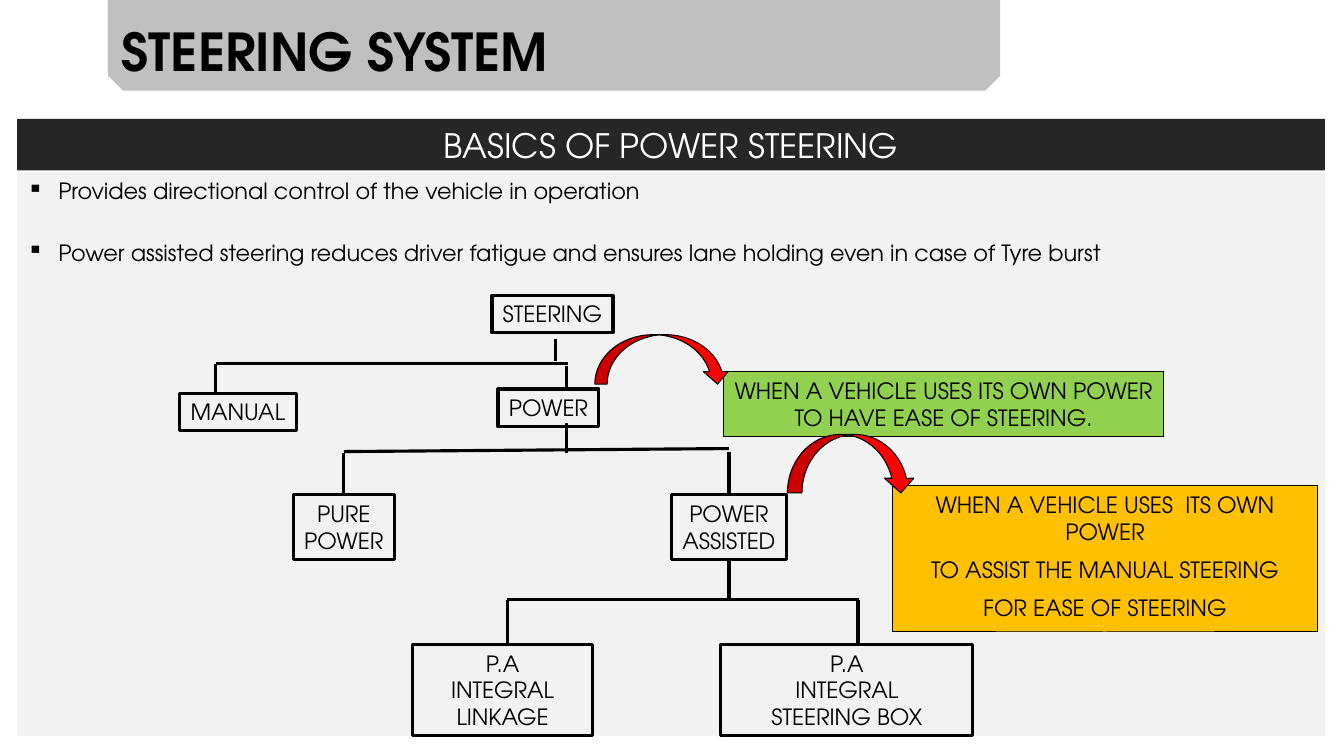
import pptx
import pptx.util
import pptx.dml.color
import pptx.enum.shapes
import pptx.enum.text
from dataclasses import dataclass
from lxml import etree

Inches, Pt = pptx.util.Inches, pptx.util.Pt
SHAPE = pptx.enum.shapes.MSO_SHAPE
ALIGN = pptx.enum.text.PP_ALIGN
ANCHOR = pptx.enum.text.MSO_ANCHOR


@dataclass(frozen=True)
class Theme:
    font: str = "TeX Gyre Adventor"
    ink: str = "000000"
    paper: str = "FFFFFF"
    tab: str = "BFBFBF"
    banner: str = "262626"
    panel: str = "F2F2F2"
    green: str = "92D050"
    amber: str = "FFC000"
    red: str = "FF0000"
    title: float = 37.3
    heading: float = 24
    body: float = 16
    thick: float = 2.25
    thin: float = 0.75


theme = Theme()
rgb = pptx.dml.color.RGBColor.from_string

deck = pptx.Presentation()
deck.slide_width, deck.slide_height = Inches(13.33), Inches(7.5)
slide = deck.slides.add_slide(deck.slide_layouts[6])


def add_block(preset, place, fill=None, line_width=None):
    """Add a preset shape without shadow; no fill or outline unless given."""
    block = slide.shapes.add_shape(preset, *map(Inches, place))
    block.shadow.inherit = False
    if fill:
        block.fill.solid()
        block.fill.fore_color.rgb = rgb(fill)
    else:
        block.fill.background()
    if line_width:
        block.line.color.rgb = rgb(theme.ink)
        block.line.width = Pt(line_width)
    else:
        block.line.fill.background()
    return block


def write(block, text, size=theme.body, color=theme.ink, align=ALIGN.CENTER,
          anchor=ANCHOR.TOP, gap=0, wrap=True):
    """Set one paragraph per line of text, with gap points between them."""
    frame = block.text_frame
    frame.text = text
    frame.word_wrap = wrap
    frame.vertical_anchor = anchor
    for index, paragraph in enumerate(frame.paragraphs):
        paragraph.alignment = align
        if index:
            paragraph.space_before = Pt(gap)
        for run in paragraph.runs:
            run.font.name = theme.font
            run.font.size = Pt(size)
            run.font.color.rgb = rgb(color)


# Title
title_tab = add_block(SHAPE.SNIP_2_SAME_RECTANGLE, (1.07, 0, 8.85, 0.9), theme.tab)
title_tab.rotation = 180
title = slide.shapes.add_textbox(Inches(1.11), Inches(0.14), Inches(7.89), Inches(0.73))
write(title, "STEERING SYSTEM", theme.title, align=ALIGN.LEFT)
title.text_frame.paragraphs[0].runs[0].font.bold = True

# Heading and key points
heading = add_block(SHAPE.RECTANGLE, (0.17, 1.18, 12.97, 0.51), theme.banner)
write(heading, "BASICS OF POWER STEERING", theme.heading, theme.paper, anchor=ANCHOR.MIDDLE)

key_points = add_block(SHAPE.RECTANGLE, (0.17, 1.71, 12.97, 5.59), theme.panel)
write(key_points,
      "Provides directional control of the vehicle in operation\n"
      "Power assisted steering reduces driver fatigue and ensures lane holding "
      "even in case of Tyre burst",
      align=ALIGN.JUSTIFY, gap=25)
for point in key_points.text_frame.paragraphs:
    properties = point._p.get_or_add_pPr()
    properties.set("marL", str(Inches(0.31)))
    properties.set("indent", str(-Inches(0.31)))
    bullet = etree.SubElement(properties, pptx.oxml.ns.qn("a:buChar"))
    bullet.set("char", "▪")

# Steering types
steering_types = [
    ("STEERING", (4.88, 2.93, 1.2, 0.37), False),
    ("MANUAL", (1.78, 3.9, 1.16, 0.37), False),
    ("POWER", (4.94, 3.86, 1, 0.37), False),
    ("PURE\nPOWER", (2.91, 4.91, 1, 0.64), False),
    ("POWER\nASSISTED", (6.66, 4.91, 1.14, 0.64), False),
    ("P.A\nINTEGRAL\nLINKAGE", (4.09, 6.39, 1.79, 0.91), True),
    ("P.A\nINTEGRAL\nSTEERING BOX", (7.15, 6.39, 2.5, 0.91), True),
]
type_boxes = {}
for label, place, wrap in steering_types:
    type_boxes[label] = add_block(SHAPE.RECTANGLE, place, line_width=theme.thick)
    write(type_boxes[label], label, anchor=ANCHOR.MIDDLE, wrap=wrap)
pure_power = type_boxes["PURE\nPOWER"]
power_assisted = type_boxes["POWER\nASSISTED"]

# Branches: start, end, box joined at the start, box joined at the end
branches = [
    ((5.51, 3.36), (5.51, 3.58), None, None),
    ((2.14, 3.61), (5.63, 3.61), None, None),
    ((2.14, 3.61), (2.14, 3.9), None, None),
    ((5.62, 3.63), (5.62, 3.85), None, None),
    ((5.62, 4.2), (5.62, 4.49), None, None),
    ((3.41, 4.48), (7.23, 4.45), None, None),
    ((3.41, 4.49), (3.41, 4.91), None, pure_power),
    ((7.23, 4.48), (7.23, 4.91), None, power_assisted),
    ((7.23, 5.55), (7.23, 5.94), power_assisted, None),
    ((5.03, 5.95), (8.52, 5.95), None, None),
    ((5.03, 5.95), (5.03, 6.38), None, None),
    ((8.51, 5.95), (8.51, 6.38), None, None),
]
for start, end, upper_box, lower_box in branches:
    branch = slide.shapes.add_connector(
        pptx.enum.shapes.MSO_CONNECTOR.STRAIGHT, *map(Inches, start + end))
    branch.line.color.rgb = rgb(theme.ink)
    branch.line.width = Pt(theme.thick)
    etree.SubElement(branch._element.spPr, pptx.oxml.ns.qn("a:effectLst"))
    if upper_box:
        branch.begin_connect(upper_box, 2)
    if lower_box:
        branch.end_connect(lower_box, 0)

# Explanations
explanations = [
    ("WHEN A VEHICLE USES ITS OWN POWER TO HAVE EASE OF STEERING.",
     (7.18, 3.69, 4.36, 0.64), theme.green),
    ("WHEN A VEHICLE USES  ITS OWN POWER\nTO ASSIST THE MANUAL STEERING\nFOR EASE OF STEERING",
     (8.85, 4.82, 4.22, 1.45), theme.amber),
]
for text, place, fill in explanations:
    explanation = add_block(SHAPE.RECTANGLE, place, fill, theme.thin)
    write(explanation, text, gap=8)

for place in [(7.81, 4.31, 1.27, 0.58), (5.9, 3.32, 1.34, 0.49)]:
    add_block(SHAPE.CURVED_DOWN_ARROW, place, theme.red, theme.thin)

deck.save("out.pptx")
